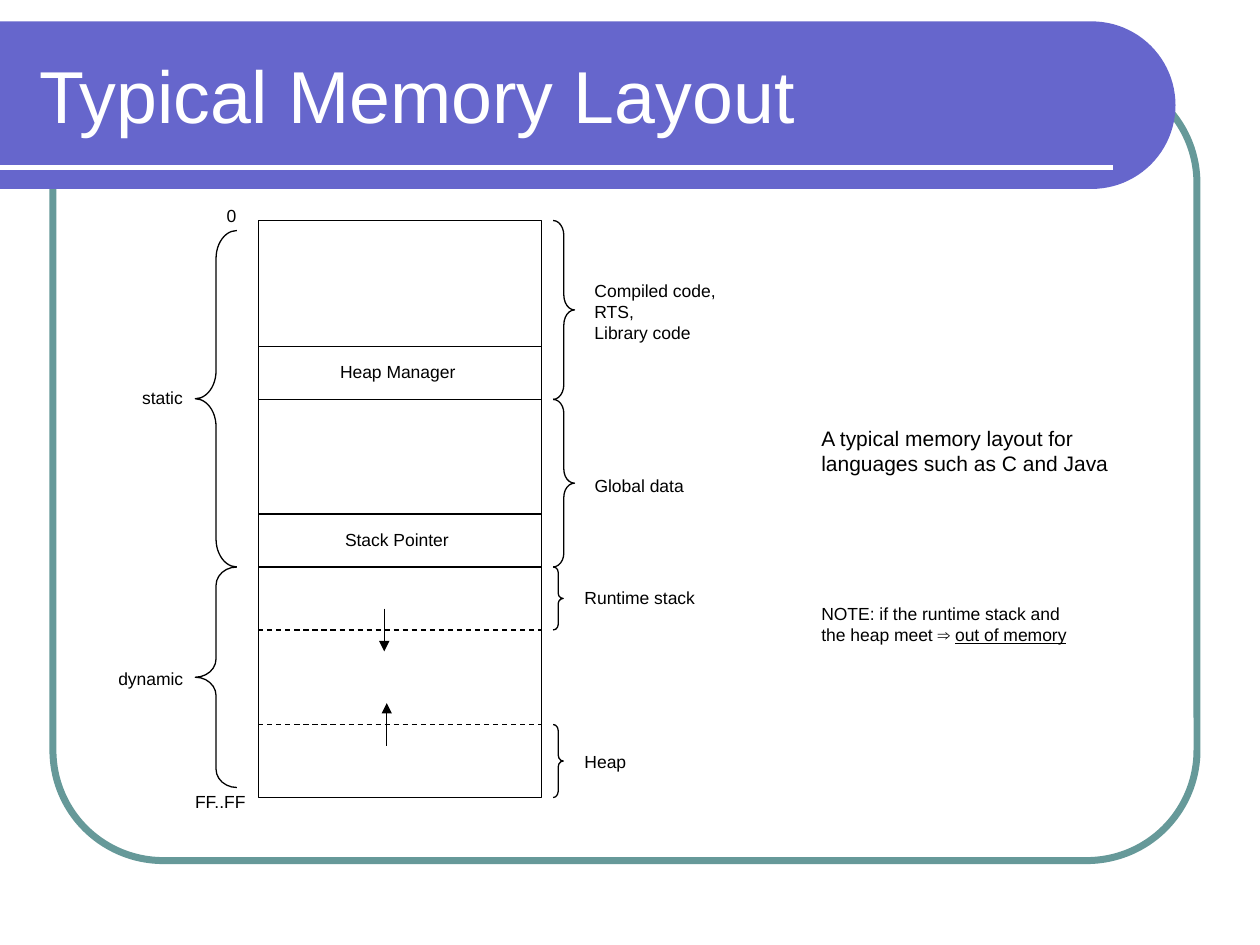
"""Build a slide that shows the typical memory layout of a running program."""
from math import cos, pi, sin

from lxml.etree import SubElement
from pptx import Presentation
from pptx.dml.color import RGBColor
from pptx.enum.dml import MSO_LINE
from pptx.enum.shapes import MSO_CONNECTOR, MSO_SHAPE
from pptx.enum.text import MSO_ANCHOR, MSO_AUTO_SIZE, PP_ALIGN
from pptx.oxml.ns import qn
from pptx.util import Inches, Pt

THEME = {
    "font": "Arial", "title": 42, "body": 12, "label": 10, "thin": 0.75,
    "white": "FFFFFF", "ink": "000000", "banner": "6666CC", "frame": "669999",
}
TITLE = "Typical Memory Layout"

MEMORY_LEFT, MEMORY_WIDTH = 2.05, 2.25
MEMORY_RIGHT = MEMORY_LEFT + MEMORY_WIDTH
MEMORY_TOP, GLOBALS_TOP, DYNAMIC_TOP = 1.75, 3.17, 4.5
STACK_END, HEAP_TOP, MEMORY_END = 5, 5.75, 6.33
POINTER_HEIGHT = 0.42

BLOCKS = [
    (MEMORY_TOP, MEMORY_END - MEMORY_TOP),
    (GLOBALS_TOP - POINTER_HEIGHT, POINTER_HEIGHT),
    (DYNAMIC_TOP - POINTER_HEIGHT, POINTER_HEIGHT),
]
LEFT_BRACES = [(1.83, DYNAMIC_TOP, 0.33), (DYNAMIC_TOP, 6.25, 0.33)]
RIGHT_BRACES = [
    (MEMORY_TOP, GLOBALS_TOP, 0.17),
    (GLOBALS_TOP, DYNAMIC_TOP, 0.17),
    (DYNAMIC_TOP, STACK_END, 0.08),
    (HEAP_TOP, MEMORY_END, 0.08),
]
LEFT_BRACE_END, RIGHT_BRACE_START = 1.88, 4.39
GROWTH_ARROWS = [(3.05, 4.83, 5.17), (3.07, 5.92, 5.58)]

LABELS = [
    (["Heap Manager"], 2.6, 2.82, 1.15),
    (["Stack Pointer"], 2.64, 4.15, 1.06),
    (["0"], 1.7, 1.58, 0.31),
    (["FF..FF"], 1.45, 6.23, 0.65),
    (["static"], 1.03, 3.02, 0.56),
    (["dynamic"], 0.84, 5.25, 0.75),
    (["Compiled code,", "RTS,", "Library code"], 4.62, 2.17, 1.2),
    (["Global data"], 4.62, 3.72, 0.95),
    (["Runtime stack"], 4.54, 4.61, 1.11),
    (["Heap"], 4.54, 5.91, 0.61),
]
SUMMARY = ["A typical memory layout for", "languages such as C and Java"]
NOTE = "NOTE: if the runtime stack and\vthe heap meet ⇒ "
NOTE_STRESS = "out of memory"


def color(name):
    return RGBColor.from_string(THEME[name])


def style_runs(paragraph, size, ink):
    paragraph.alignment = PP_ALIGN.LEFT
    values = {"name": THEME["font"], "size": Pt(THEME[size])}
    for run in paragraph.runs:
        for key, value in values.items():
            setattr(run.font, key, value)
        run.font.color.rgb = color(ink)


def style_shape(shape, fill=None, line=None, width=THEME["thin"]):
    shape.shadow.inherit = False
    if fill:
        shape.fill.solid()
        shape.fill.fore_color.rgb = color(fill)
    else:
        shape.fill.background()
    if line:
        shape.line.color.rgb = color(line)
        shape.line.width = Pt(width)
    else:
        shape.line.fill.background()


def add_outline(slide, kind, left, top, width, height, line="ink", weight=THEME["thin"]):
    shape = slide.shapes.add_shape(
        kind, Inches(left), Inches(top), Inches(width), Inches(height))
    style_shape(shape, line=line, width=weight)
    return shape


def add_line(slide, start, end, line="ink", width=THEME["thin"], dashed=False, arrow=False):
    points = [Inches(value) for value in (*start, *end)]
    connector = slide.shapes.add_connector(MSO_CONNECTOR.STRAIGHT, *points)
    connector.line.color.rgb = color(line)
    connector.line.width = Pt(width)
    if dashed:
        connector.line.dash_style = MSO_LINE.DASH
    if arrow:
        SubElement(connector.line._get_or_add_ln(), qn("a:tailEnd"), type="triangle")
    SubElement(connector._element.spPr, qn("a:effectLst"))


def add_brace(slide, kind, left, top, bottom, width):
    height = bottom - top
    brace = add_outline(slide, kind, left, top, width, height)
    brace.adjustments[0] = height / 12 / width


def add_text(slide, lines, left, top, width, height, size="label", stress=None):
    box = slide.shapes.add_textbox(
        Inches(left), Inches(top), Inches(width), Inches(height))
    frame = box.text_frame
    frame.word_wrap = False
    frame.auto_size = MSO_AUTO_SIZE.SHAPE_TO_FIT_TEXT
    frame.text = "\n".join(lines)
    if stress:
        frame.paragraphs[0].text = lines[0]
        run = frame.paragraphs[0].add_run()
        run.text = stress
        run.font.underline = True
    for paragraph in frame.paragraphs:
        style_runs(paragraph, size, "ink")


def add_banner(slide, top=0.17, bottom=1.5, right=9.33, steps=48):
    radius = (bottom - top) / 2
    middle, center = top + radius, right - radius
    angles = [pi * (step / steps - 0.5) for step in range(steps + 1)]
    arc = [(Inches(center + radius * cos(angle)), Inches(middle + radius * sin(angle)))
           for angle in angles]
    builder = slide.shapes.build_freeform(0, Inches(top))
    builder.add_line_segments([*arc, (0, Inches(bottom))], close=True)
    style_shape(builder.convert_to_shape(), fill="banner")


def add_title(slide):
    title = slide.shapes.title
    title.left, title.top, title.width, title.height = map(Inches, (0.21, 0.25, 8.77, 1))
    title.text_frame.text = TITLE
    title.text_frame.vertical_anchor = MSO_ANCHOR.MIDDLE
    style_runs(title.text_frame.paragraphs[0], "title", "white")
    slide.shapes._spTree.append(title._element)


def add_memory(slide):
    for top, height in BLOCKS:
        add_outline(slide, MSO_SHAPE.RECTANGLE, MEMORY_LEFT, top, MEMORY_WIDTH, height)
    for top, bottom, width in LEFT_BRACES:
        add_brace(slide, MSO_SHAPE.LEFT_BRACE, LEFT_BRACE_END - width, top, bottom, width)
    for top, bottom, width in RIGHT_BRACES:
        add_brace(slide, MSO_SHAPE.RIGHT_BRACE, RIGHT_BRACE_START, top, bottom, width)
    for level in (STACK_END, HEAP_TOP):
        add_line(slide, (MEMORY_LEFT, level), (MEMORY_RIGHT, level), dashed=True)
    for x, start, end in GROWTH_ARROWS:
        add_line(slide, (x, start), (x, end), arrow=True)
    for lines, left, top, width in LABELS:
        add_text(slide, lines, left, top, width, 0.1 + 0.17 * len(lines))


def main():
    presentation = Presentation()
    presentation.slide_width, presentation.slide_height = Inches(10), Inches(7.5)
    slide = presentation.slides.add_slide(presentation.slide_layouts[5])
    frame = add_outline(
        slide, MSO_SHAPE.ROUNDED_RECTANGLE, 0.42, 0.58, 9.08, 6.25, "frame", 4)
    frame.adjustments[0] = 0.14
    add_banner(slide)
    add_line(slide, (0, 1.33), (8.83, 1.33), "white", 3)
    add_title(slide)
    add_text(slide, SUMMARY, 6.42, 3.33, 2.52, 0.5, "body")
    add_memory(slide)
    add_text(slide, [NOTE], 6.42, 4.74, 2.19, 0.44, stress=NOTE_STRESS)
    presentation.save("out.pptx")


if __name__ == "__main__":
    main()
